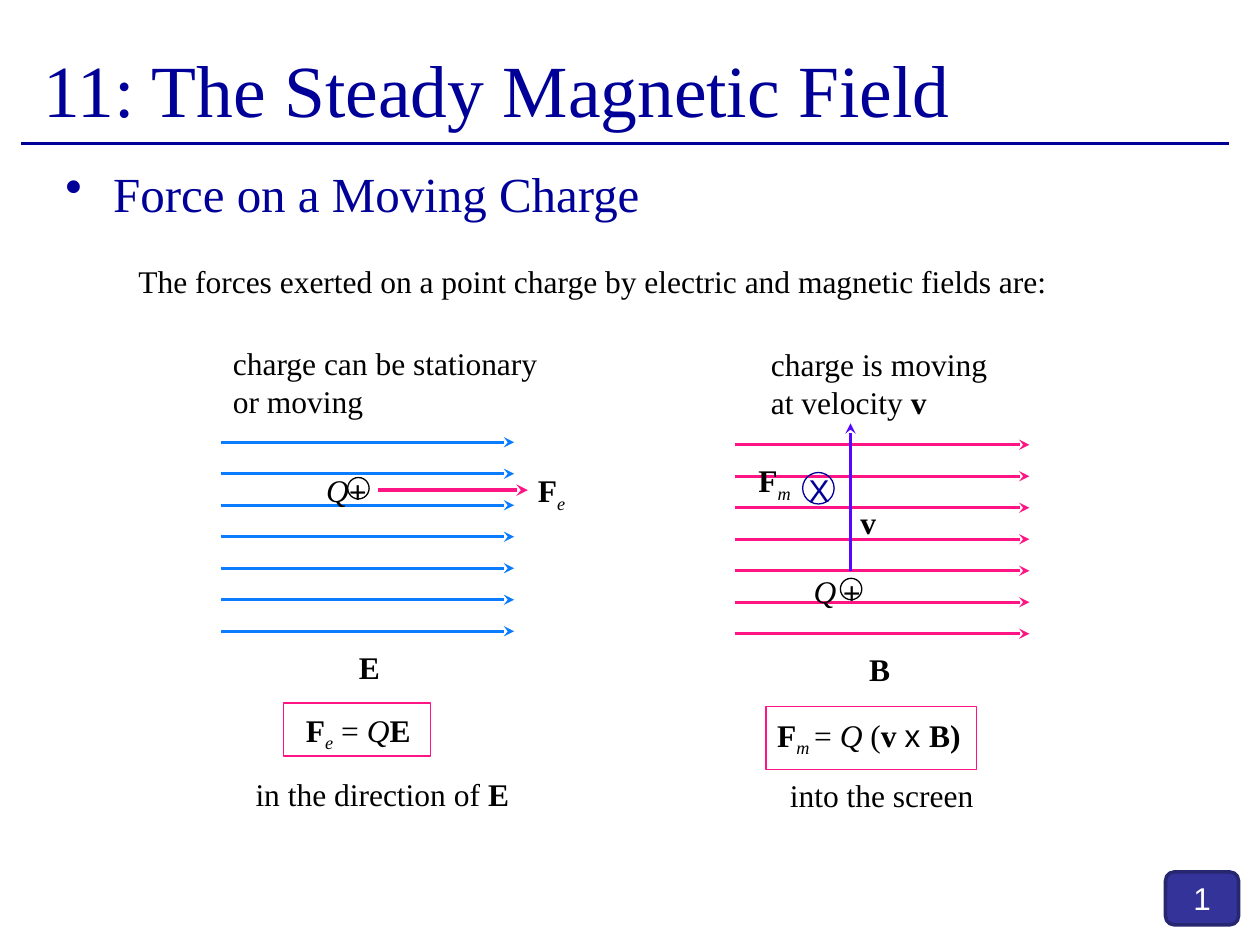
from dataclasses import dataclass
from typing import NamedTuple

from lxml.etree import SubElement
from pptx import Presentation
from pptx.dml.color import RGBColor
from pptx.enum.shapes import MSO_CONNECTOR, MSO_SHAPE
from pptx.enum.text import MSO_ANCHOR, MSO_AUTO_SIZE, PP_ALIGN
from pptx.oxml.ns import qn
from pptx.util import Inches, Pt


@dataclass(frozen=True)
class Theme:
    serif: str = "Times New Roman"
    sans: str = "Arial"
    navy: str = "000099"
    black: str = "000000"
    white: str = "FFFFFF"
    badge: str = "333399"
    badge_edge: str = "262671"
    electric: str = "0B7CFF"
    magnetic: str = "FF1485"
    velocity: str = "5607FF"
    title_size: int = 42
    heading_size: int = 28
    body_size: int = 18
    thin: float = 0.75
    medium: float = 1.5
    thick: float = 2.25


THEME = Theme()


class Run(NamedTuple):
    text: str
    style: str = ""  # any of "b" bold, "i" italic, "s" subscript
    font: str = THEME.serif


class Label(NamedTuple):
    left: float
    top: float
    width: float
    lines: list[list[Run]]
    size: int = THEME.body_size
    color: str = THEME.black
    height: float = 0.4


class Outline(NamedTuple):
    kind: MSO_SHAPE
    left: float
    top: float
    width: float
    height: float
    color: str


class Arrow(NamedTuple):
    start: tuple[float, float]
    end: tuple[float, float]
    color: str
    weight: float = THEME.medium


class FieldDiagram(NamedTuple):
    left: float
    top: float
    width: float
    color: str
    outlines: list[Outline]
    arrows: list[Arrow]
    labels: list[Label]


FIELD_LINES = 7
FIELD_GAP = 0.25


def write_runs(paragraph, runs: list[Run], size: int, color: str) -> None:
    for text, style, font_name in runs:
        run = paragraph.add_run()
        run.text = text
        values = {"name": font_name, "size": Pt(size), "bold": "b" in style, "italic": "i" in style}
        for name, value in values.items():
            setattr(run.font, name, value)
        run.font.color.rgb = RGBColor.from_string(color)
        if "s" in style:
            run.font._element.set("baseline", "-25000")


def draw_label(shapes, label: Label, **frame_format):
    box = shapes.add_textbox(*map(Inches, (label.left, label.top, label.width, label.height)))
    frame = box.text_frame
    values = {"word_wrap": False, "auto_size": MSO_AUTO_SIZE.SHAPE_TO_FIT_TEXT} | frame_format
    for name, value in values.items():
        setattr(frame, name, value)
    for index, runs in enumerate(label.lines):
        paragraph = frame.add_paragraph() if index else frame.paragraphs[0]
        write_runs(paragraph, runs, label.size, label.color)
    return box


def draw_line(shapes, line: Arrow, arrowhead: bool = True) -> None:
    connector = shapes.add_connector(MSO_CONNECTOR.STRAIGHT, *map(Inches, line.start + line.end))
    connector.line.color.rgb = RGBColor.from_string(line.color)
    connector.line.width = Pt(line.weight)
    if arrowhead:
        SubElement(connector.line._get_or_add_ln(), qn("a:tailEnd"), type="stealth")
    SubElement(connector._element.spPr, qn("a:effectLst"))


def draw_outline(shapes, outline: Outline, weight: float = THEME.thin):
    shape = shapes.add_shape(outline.kind, *map(Inches, outline[1:5]))
    shape.shadow.inherit = False
    shape.fill.background()
    shape.line.color.rgb = RGBColor.from_string(outline.color)
    shape.line.width = Pt(weight)
    return shape


def draw_diagram(slide, diagram: FieldDiagram) -> None:
    shapes = slide.shapes.add_group_shape().shapes
    for index in range(FIELD_LINES):
        y = diagram.top + index * FIELD_GAP
        draw_line(shapes, Arrow((diagram.left, y), (diagram.left + diagram.width, y), diagram.color))
    for outline in diagram.outlines:
        draw_outline(shapes, outline)
    for arrow in diagram.arrows:
        draw_line(shapes, arrow)
    for label in diagram.labels:
        draw_label(shapes, label)


ELECTRIC = FieldDiagram(
    1.75, 3.51, 2.33, THEME.electric,
    outlines=[
        Outline(MSO_SHAPE.OVAL, 2.76, 3.79, 0.17, 0.17, THEME.black),
        Outline(MSO_SHAPE.RECTANGLE, 2.25, 5.58, 1.17, 0.42, THEME.magnetic),
    ],
    arrows=[Arrow((3, 3.89), (4.19, 3.89), THEME.magnetic, THEME.thick)],
    labels=[
        Label(1.75, 2.68, 2.71, [[Run("charge can be stationary")], [Run("or moving")]], height=0.71),
        Label(2.67, 3.7, 0.35, [[Run("+", "b")]]),
        Label(2.49, 3.69, 0.38, [[Run("Q", "i")]]),
        Label(4.17, 3.69, 0.43, [[Run("F", "b"), Run("e", "is")]]),
        Label(2.75, 5.09, 0.37, [[Run("E", "b")]]),
        Label(2.33, 5.59, 1.04, [[Run("F", "b"), Run("e", "is"), Run(" = "), Run("Q", "i"), Run("E", "b")]]),
        Label(1.93, 6.1, 2.24, [[Run("in the direction of "), Run("E", "b")]]),
    ],
)

MAGNETIC = FieldDiagram(
    5.83, 3.53, 2.34, THEME.magnetic,
    outlines=[
        Outline(MSO_SHAPE.OVAL, 6.67, 4.59, 0.17, 0.17, THEME.black),
        Outline(MSO_SHAPE.OVAL, 6.37, 3.75, 0.25, 0.25, THEME.navy),
        Outline(MSO_SHAPE.RECTANGLE, 6.08, 5.61, 1.67, 0.5, THEME.magnetic),
    ],
    arrows=[Arrow((6.75, 4.53), (6.75, 3.36), THEME.velocity)],
    labels=[
        Label(6.02, 2.69, 1.94, [[Run("charge is moving")], [Run("at velocity "), Run("v", "b")]], height=0.71),
        Label(6.59, 4.5, 0.35, [[Run("+", "b")]]),
        Label(6.36, 4.49, 0.38, [[Run("Q", "i")]]),
        Label(6.73, 3.94, 0.33, [[Run("v", "b")]]),
        Label(6.32, 3.69, 0.37, [[Run("X", font=THEME.sans)]], color=THEME.navy),
        Label(5.92, 3.61, 0.48, [[Run("F", "b"), Run("m", "is")]]),
        Label(6.8, 5.11, 0.37, [[Run("B", "b")]]),
        Label(6.07, 5.63, 1.68, [[
            Run("F", "b"), Run("m ", "is"), Run("= "), Run("Q ", "i"), Run("("),
            Run("v ", "b"), Run("x ", font=THEME.sans), Run("B)", "b"),
        ]]),
        Label(6.17, 6.11, 1.68, [[Run("into the screen")]]),
    ],
)


def draw_heading(slide) -> None:
    # Title and rule
    draw_line(slide.shapes, Arrow((0.17, 1.14), (9.75, 1.14), THEME.navy), arrowhead=False)
    title = Label(0.25, 0.07, 9, [[Run("11: The Steady Magnetic Field")]], THEME.title_size, THEME.navy, 1.25)
    draw_label(slide.shapes, title, word_wrap=True, auto_size=MSO_AUTO_SIZE.NONE,
               vertical_anchor=MSO_ANCHOR.MIDDLE)

    # Bulleted topic
    topic = Label(0.42, 1.25, 9.5, [[Run("Force on a Moving Charge")]], THEME.heading_size, THEME.navy, 0.57)
    box = draw_label(slide.shapes, topic, word_wrap=True)
    properties = box.text_frame.paragraphs[0]._p.get_or_add_pPr()
    for name, value in {"marL": Inches(0.38), "indent": Inches(-0.38)}.items():
        properties.set(name, str(value))
    SubElement(properties, qn("a:buChar"), char="•")


def draw_page_number(slide) -> None:
    badge = draw_outline(
        slide.shapes, Outline(MSO_SHAPE.ROUNDED_RECTANGLE, 9.25, 6.92, 0.58, 0.42, THEME.badge_edge), 2)
    badge.fill.solid()
    badge.fill.fore_color.rgb = RGBColor.from_string(THEME.badge)
    badge.text_frame.vertical_anchor = MSO_ANCHOR.MIDDLE
    paragraph = badge.text_frame.paragraphs[0]
    paragraph.alignment = PP_ALIGN.CENTER
    write_runs(paragraph, [Run("1", font=THEME.sans)], THEME.body_size, THEME.white)


def main() -> None:
    presentation = Presentation()
    presentation.slide_width, presentation.slide_height = Inches(10), Inches(7.5)
    slide = presentation.slides.add_slide(presentation.slide_layouts[6])
    draw_heading(slide)
    draw_page_number(slide)
    introduction = "The forces exerted on a point charge by electric and magnetic fields are:"
    draw_label(slide.shapes, Label(1, 2.03, 7.48, [[Run(introduction)]]))
    for diagram in (ELECTRIC, MAGNETIC):
        draw_diagram(slide, diagram)
    presentation.save("out.pptx")


if __name__ == "__main__":
    main()
